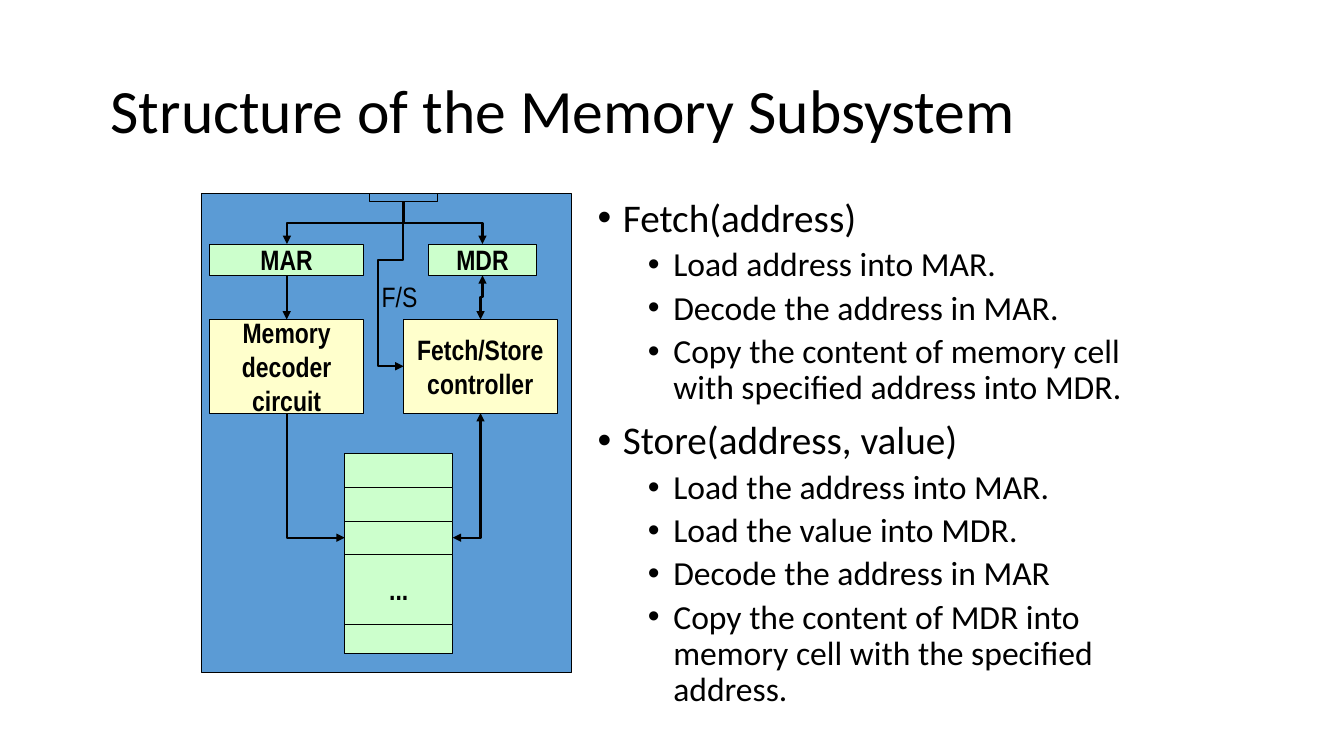
"""Build the slide on the structure of the memory subsystem."""
from lxml import etree
from pptx import Presentation, util as u
from pptx.dml.color import RGBColor
from pptx.enum import shapes, text
from pptx.oxml import ns

HUES = {"ink": "000000", "panel": "5B9BD5", "store": "CCFFCC", "logic": "FFFFCC"}
INK = RGBColor.from_string(HUES["ink"])
MID = text.MSO_ANCHOR.MIDDLE
TOP = text.MSO_ANCHOR.TOP

deck = Presentation()
deck.slide_width, deck.slide_height = u.Cm(33.87), u.Cm(19.05)
slide = deck.slides.add_slide(deck.slide_layouts[6])
items = slide.shapes


def write(shape, lines, face, size, **form):
    """Fill a shape with lines of text in one font."""
    frame = shape.text_frame
    frame.text = "\n".join(lines)
    frame.word_wrap = form.pop("wrap", False)
    frame.vertical_anchor = form.pop("anchor", MID)
    for para in frame.paragraphs:
        for key, value in form.items():
            setattr(para, key, value)
        for key, value in {"name": face, "size": u.Pt(size)}.items():
            setattr(para.font, key, value)
        para.font.color.rgb = INK
    return frame


def style(line, width, ends):
    """Set the line of a connector and its arrowheads."""
    line.line.color.rgb = INK
    line.line.width = u.Pt(width)
    for end in ends:
        etree.SubElement(line.line._get_or_add_ln(), ns.qn(f"a:{end}"), type="triangle")
    etree.SubElement(line._element.spPr, ns.qn("a:effectLst"))


title = items.add_textbox(u.Cm(2.54), u.Cm(1.7), u.Cm(28.78), u.Cm(2.34))
write(title, ["Structure of the Memory Subsystem"], "Calibri", 44, wrap=True, line_spacing=0.9)

steps = [
    (0, "Fetch(address)"),
    (1, "Load address into MAR."),
    (1, "Decode the address in MAR."),
    (1, "Copy the content of memory cell with specified address into MDR."),
    (0, "Store(address, value)"),
    (1, "Load the address into MAR."),
    (1, "Load the value into MDR."),
    (1, "Decode the address in MAR"),
    (1, "Copy the content of MDR into memory cell with the specified address."),
]
body = items.add_textbox(u.Cm(14.81), u.Cm(4.88), u.Cm(14.4), u.Cm(13.34))
frame = write(body, [step for _, step in steps], "Calibri", 28,
              wrap=True, anchor=TOP, line_spacing=0.9)
for para, (level, _) in zip(frame.paragraphs, steps):
    para.level = level
    para.space_before = u.Pt(5 if level else 10)
    para.font.size = u.Pt(24 if level else 28)
    props = para._p.get_or_add_pPr()
    props.set("marL", str(u.Cm(1.91 if level else 0.64)))
    props.set("indent", str(u.Cm(-0.64)))
    etree.SubElement(props, ns.qn("a:buFont"), typeface="Arial")
    etree.SubElement(props, ns.qn("a:buChar"), char="•")
    props.append(props.find(ns.qn("a:defRPr")))

boxes = [
    ("panel", 5.08, 4.88, 9.32, 12.07, []),
    ("store", 5.28, 6.15, 3.89, 0.79, ["MAR"]),
    ("store", 10.8, 6.15, 2.72, 0.79, ["MDR"]),
    ("store", 8.69, 11.43, 2.72, 0.85, []),
    ("store", 8.69, 12.28, 2.72, 0.99, []),
    ("store", 8.69, 13.13, 2.72, 0.85, []),
    ("store", 8.69, 15.67, 2.72, 0.79, []),
    ("store", 8.69, 13.97, 2.72, 1.78, ["..."]),
    ("logic", 5.28, 8.05, 3.89, 2.36, ["Memory", "decoder", "circuit"]),
    ("logic", 10.16, 8.05, 3.89, 2.36, ["Fetch/Store", "controller"]),
    ("panel", 9.32, 4.88, 1.7, 0.2, []),
]
named = {}
for hue, left, top, width, height, lines in boxes:
    box = items.add_shape(shapes.MSO_SHAPE.RECTANGLE, *map(u.Cm, (left, top, width, height)))
    box.shadow.inherit = False
    box.fill.solid()
    box.fill.fore_color.rgb = RGBColor.from_string(HUES[hue])
    box.line.color.rgb = INK
    box.line.width = u.Pt(0.75)
    if lines:
        named[lines[0]] = box
        for para in write(box, lines, "Arial Narrow", 20,
                          alignment=text.PP_ALIGN.CENTER).paragraphs:
            para.font.bold = True

STRAIGHT = shapes.MSO_CONNECTOR.STRAIGHT
port = items.add_connector(STRAIGHT, *map(u.Cm, (9.53, 4.88, 10.36, 4.88)))
style(port, 0.75, [])
decode = items.add_connector(STRAIGHT, *map(u.Cm, (7.23, 6.94, 7.23, 8.05)))
decode.begin_connect(named["MAR"], 2)
decode.end_connect(named["Memory"], 0)
style(decode, 1.5, ["tailEnd"])

BOTH = ["headEnd", "tailEnd"]
bends = [
    (7.23, 10.41, 8.69, 13.55, 2, [], ["tailEnd"]),
    (12.11, 10.41, 11.41, 13.55, 2, [], BOTH),
    (12.16, 6.94, 12.11, 8.05, 3, [50000], BOTH),
    (10.17, 5.08, 7.23, 6.15, 3, [50000], ["tailEnd"]),
    (10.17, 5.08, 12.16, 6.15, 3, [50000], ["tailEnd"]),
    (10.16, 5.08, 10.17, 9.23, 4, [35700, -6350000], ["tailEnd"]),
]
for x1, y1, x2, y2, kind, adjusts, ends in bends:
    run, drop = abs(x2 - x1), y2 - y1
    left, top = (x1 + x2 - drop) / 2, (y1 + y2 - run) / 2
    bend = items.add_connector(shapes.MSO_CONNECTOR.ELBOW,
                               *map(u.Cm, (left, top, left + drop, top + run)))
    frame = bend._element.spPr.find(ns.qn("a:xfrm"))
    frame.set("rot", "5400000")
    if x2 > x1:
        frame.set("flipV", "1")
    shape = bend._element.spPr.find(ns.qn("a:prstGeom"))
    shape.set("prst", f"bentConnector{kind}")
    for index, value in enumerate(adjusts, 1):
        etree.SubElement(shape.find(ns.qn("a:avLst")), ns.qn("a:gd"),
                         name=f"adj{index}", fmla=f"val {value}")
    style(bend, 1.5, ends)

label = items.add_textbox(u.Cm(9.37), u.Cm(6.93), u.Cm(1.42), u.Cm(1.09))
write(label, ["F/S"], "Arial Narrow", 20, anchor=TOP)

deck.save("out.pptx")
